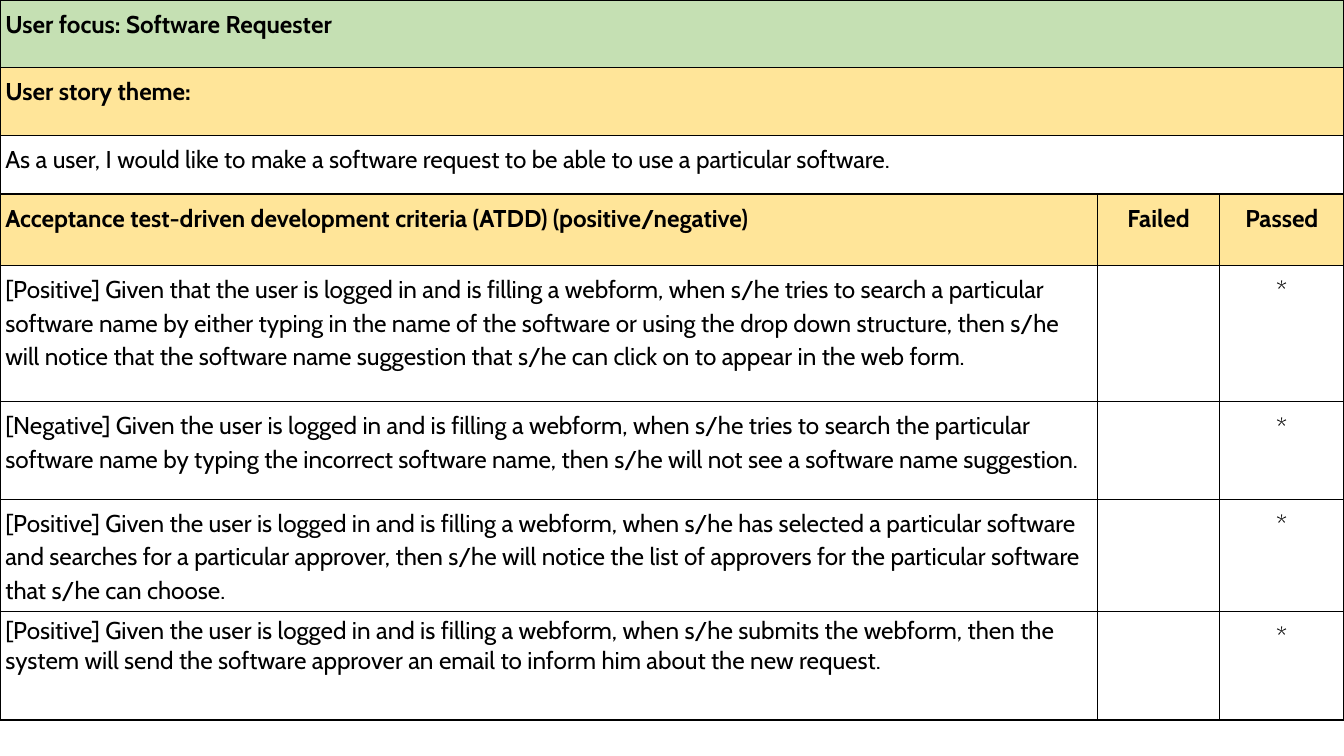
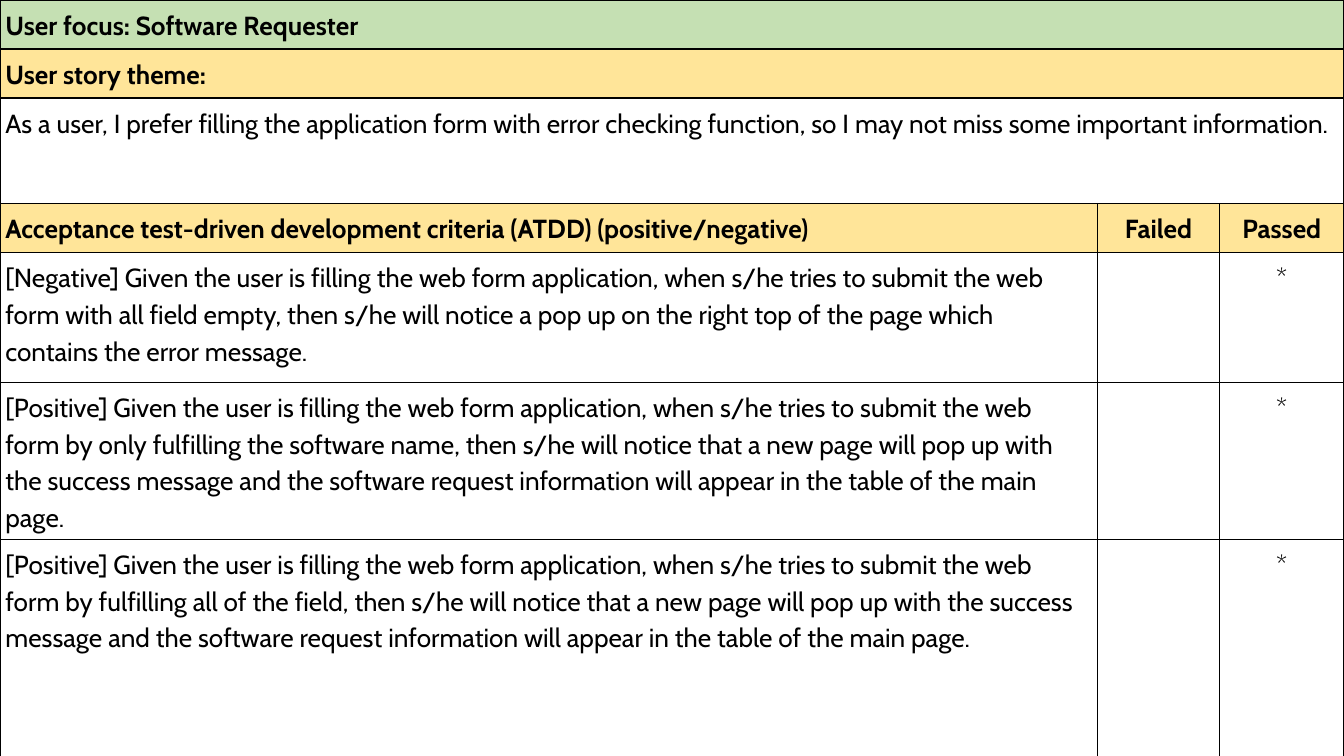
from dataclasses import dataclass

from lxml.etree import SubElement
from pptx import Presentation
from pptx.dml.color import RGBColor
from pptx.enum.text import PP_ALIGN
from pptx.oxml.ns import qn
from pptx.util import Emu, Pt

FONT = "Cabin"
BLACK = "000000"
GREEN = "C5E0B3"
YELLOW = "FFE599"
PX_PER_INCH = 200
COLUMN_WIDTHS = (1633, 182, 185)
CELL_INSET = 8
BORDER_WIDTH = Pt(0.75)


@dataclass(frozen=True)
class CellStyle:
    size: int
    bold: bool = False
    fill: str | None = None
    centred: bool = False
    line_spacing: float | None = 1.15
    space_after: int = 2


@dataclass(frozen=True)
class Criterion:
    text: str
    line_spacing: float | None = 1.15
    space_after: int = 2


@dataclass(frozen=True)
class Story:
    text_size: int
    theme: str
    criteria: tuple[Criterion, ...]
    row_heights: tuple[int, ...]


STORIES = (
    Story(
        13,
        "As a user, I would like to make a software request to be able to use a particular software.",
        (
            Criterion(
                "[Positive] Given that the user is logged in and is filling a webform, when s/he tries "
                "to search a particular software name by either typing in the name of the software or "
                "using the drop down structure, then s/he will notice that the software name "
                "suggestion that s/he can click on to appear in the web form."
            ),
            Criterion(
                "[Negative] Given the user is logged in and is filling a webform, when s/he tries to "
                "search the particular software name by typing the incorrect software name, then s/he "
                "will not see a software name suggestion."
            ),
            Criterion(
                "[Positive] Given the user is logged in and is filling a webform, when s/he has "
                "selected a particular software and searches for a particular approver, then s/he will "
                "notice the list of approvers for the particular software that s/he can choose."
            ),
            Criterion(
                "[Positive] Given the user is logged in and is filling a webform, when s/he submits "
                "the webform, then the system will send the software approver an email to inform him "
                "about the new request.",
                line_spacing=None,
                space_after=0,
            ),
        ),
        (101, 101, 87, 106, 203, 145, 118, 162),
    ),
    Story(
        14,
        "As a user, I prefer filling the application form with error checking function, "
        "so I may not miss some important information.",
        (
            Criterion(
                "[Negative] Given the user is filling the web form application, when s/he tries to "
                "submit the web form with all field empty, then s/he will notice a pop up on the right "
                "top of the page which contains the error message."
            ),
            Criterion(
                "[Positive] Given the user is filling the web form application, when s/he tries to "
                "submit the web form by only fulfilling the software name, then s/he will notice that "
                "a new page will pop up with the success message and the software request information "
                "will appear in the table of the main page."
            ),
            Criterion(
                "[Positive] Given the user is filling the web form application, when s/he tries to "
                "submit the web form by fulfilling all of the field, then s/he will notice that a new "
                "page will pop up with the success message and the software request information will "
                "appear in the table of the main page."
            ),
        ),
        (73, 73, 157, 73, 193, 230, 326),
    ),
)


def px(length: int) -> Emu:
    return Emu(length * 914400 // PX_PER_INCH)


def colour(value: str) -> RGBColor:
    return RGBColor.from_string(value)


def frame_cell(cell) -> None:
    """Set the insets and black borders that every cell has."""
    cell.margin_left = cell.margin_right = px(CELL_INSET)
    cell.margin_top = cell.margin_bottom = px(CELL_INSET)
    properties = cell._tc.get_or_add_tcPr()
    for side in ("a:lnL", "a:lnR", "a:lnT", "a:lnB"):
        line = SubElement(properties, qn(side), w=str(BORDER_WIDTH))
        solid = SubElement(line, qn("a:solidFill"))
        SubElement(solid, qn("a:srgbClr"), val=BLACK)
    cell.fill.background()


def write_cell(cell, text: str, style: CellStyle) -> None:
    if style.fill:
        cell.fill.solid()
        cell.fill.fore_color.rgb = colour(style.fill)
    para = cell.text_frame.paragraphs[0]
    para.alignment = PP_ALIGN.CENTER if style.centred else PP_ALIGN.LEFT
    para.line_spacing = style.line_spacing
    para.space_after = Pt(style.space_after)
    span = para.add_run()
    span.text = text
    span.font.name = FONT
    span.font.size = Pt(style.size)
    span.font.bold = style.bold
    span.font.color.rgb = colour(BLACK)


def add_story_page(deck, story: Story) -> None:
    page = deck.slides.add_slide(deck.slide_layouts[6])
    table = page.shapes.add_table(
        len(story.row_heights), len(COLUMN_WIDTHS),
        0, 0, px(sum(COLUMN_WIDTHS)), px(sum(story.row_heights)),
    ).table
    table.first_row = table.horz_banding = False
    for column, width in zip(table.columns, COLUMN_WIDTHS):
        column.width = px(width)
    for row, height in zip(table.rows, story.row_heights):
        row.height = px(height)
    for cell in table.iter_cells():
        frame_cell(cell)

    size = story.text_size
    banners = (
        ("User focus: Software Requester", CellStyle(size, bold=True, fill=GREEN)),
        ("User story theme:", CellStyle(size, bold=True, fill=YELLOW)),
        (story.theme, CellStyle(size)),
    )
    last_column = len(COLUMN_WIDTHS) - 1
    for index, (text, style) in enumerate(banners):
        table.cell(index, 0).merge(table.cell(index, last_column))
        write_cell(table.cell(index, 0), text, style)

    header_row = len(banners)
    headings = ("Acceptance test-driven development criteria (ATDD) (positive/negative)", "Failed", "Passed")
    for index, heading in enumerate(headings):
        style = CellStyle(size, bold=True, fill=YELLOW, centred=index > 0)
        write_cell(table.cell(header_row, index), heading, style)

    passed_mark = CellStyle(14, centred=True, space_after=0)
    for index, criterion in enumerate(story.criteria, header_row + 1):
        style = CellStyle(size, line_spacing=criterion.line_spacing, space_after=criterion.space_after)
        write_cell(table.cell(index, 0), criterion.text, style)
        write_cell(table.cell(index, last_column), "*", passed_mark)


def main() -> None:
    deck = Presentation()
    deck.slide_width = px(2000)
    deck.slide_height = px(1125)
    for story in STORIES:
        add_story_page(deck, story)
    deck.save("out.pptx")


if __name__ == "__main__":
    main()
